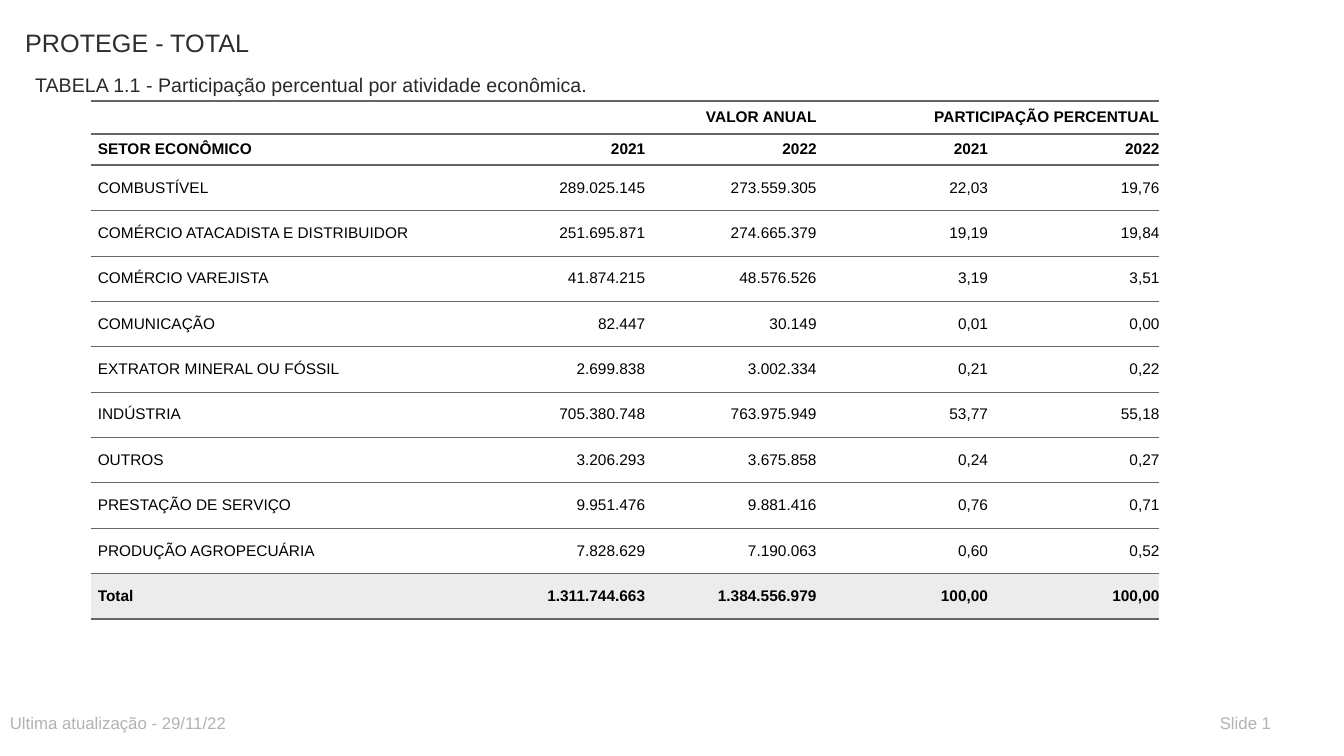
from pptx import Presentation
from pptx.dml.color import RGBColor
from pptx.enum.text import MSO_ANCHOR as ANCHOR, MSO_AUTO_SIZE as AUTO, PP_ALIGN as ALIGN
from pptx.oxml import parse_xml
from pptx.oxml.ns import nsdecls
from pptx.util import Pt

PX = 9144
FONT = "Arial"
RULE = "666666"
COLS = [380, 170, 170, 170, 170]
HEADER_ROWS = 2
ROWS = [
    ["", "VALOR ANUAL", "", "PARTICIPAÇÃO PERCENTUAL", ""],
    ["SETOR ECONÔMICO", "2021", "2022", "2021", "2022"],
    ["COMBUSTÍVEL", "289.025.145", "273.559.305", "22,03", "19,76"],
    ["COMÉRCIO ATACADISTA E DISTRIBUIDOR", "251.695.871", "274.665.379", "19,19", "19,84"],
    ["COMÉRCIO VAREJISTA", "41.874.215", "48.576.526", "3,19", "3,51"],
    ["COMUNICAÇÃO", "82.447", "30.149", "0,01", "0,00"],
    ["EXTRATOR MINERAL OU FÓSSIL", "2.699.838", "3.002.334", "0,21", "0,22"],
    ["INDÚSTRIA", "705.380.748", "763.975.949", "53,77", "55,18"],
    ["OUTROS", "3.206.293", "3.675.858", "0,24", "0,27"],
    ["PRESTAÇÃO DE SERVIÇO", "9.951.476", "9.881.416", "0,76", "0,71"],
    ["PRODUÇÃO AGROPECUÁRIA", "7.828.629", "7.190.063", "0,60", "0,52"],
    ["Total", "1.311.744.663", "1.384.556.979", "100,00", "100,00"],
]
TOTAL = len(ROWS) - 1
THICK_EDGES = {0, 1, HEADER_ROWS, len(ROWS)}


def px(n):
    return n * PX


def rgb(value):
    return RGBColor.from_string(value)


def apply(obj, **values):
    for name, value in values.items():
        setattr(obj, name, value)


def write(p, text, size, color, bold=False, align=ALIGN.LEFT):
    p.alignment = align
    if not text:
        p._p.append(parse_xml(f'<a:endParaRPr {nsdecls("a")} sz="{size * 100}"/>'))
        return
    r = p.add_run()
    r.text = text
    apply(r.font, name=FONT, size=Pt(size), bold=bold)
    r.font.color.rgb = rgb(color)


def fill_box(sp, box, text, size, color):
    left, top, width, height = map(px, box)
    apply(sp, left=left, top=top, width=width, height=height)
    tf = sp.text_frame
    apply(tf, word_wrap=True, auto_size=AUTO.NONE, vertical_anchor=ANCHOR.TOP,
          margin_left=px(10), margin_right=px(10), margin_top=px(7), margin_bottom=0)
    write(tf.paragraphs[0], text, size, color)


def add_label(s, box, text, size, color):
    fill_box(s.shapes.add_textbox(0, 0, 0, 0), box, text, size, color)


def border_xml(side, width):
    ns = nsdecls("a")
    if not width:
        return f'<a:ln{side} {ns} w="0"><a:noFill/></a:ln{side}>'
    return (f'<a:ln{side} {ns} w="{Pt(width)}"><a:solidFill>'
            f'<a:srgbClr val="{RULE}"/></a:solidFill></a:ln{side}>')


def set_borders(cell, row):
    above, below = (2 if edge in THICK_EDGES else 0.5 for edge in (row, row + 1))
    tc_pr = cell._tc.get_or_add_tcPr()
    sides = [("L", 0), ("R", 0), ("T", above), ("B", below)]
    for i, (side, width) in enumerate(sides):
        tc_pr.insert(i, parse_xml(border_xml(side, width)))


def format_cell(cell, row, col, text):
    apply(cell, margin_left=px(7), margin_right=0, margin_top=px(7),
          margin_bottom=px(7), vertical_anchor=ANCHOR.MIDDLE)
    cell.fill.solid()
    cell.fill.fore_color.rgb = rgb("ECECEC" if row == TOTAL else "FFFFFF")
    set_borders(cell, row)
    p = cell.text_frame.paragraphs[0]
    p.space_after = Pt(5)
    write(p, text, 11, "000000", bold=row < HEADER_ROWS or row == TOTAL,
          align=ALIGN.RIGHT if col else ALIGN.LEFT)


def add_sector_table(s, left, top):
    heights = [25 if i < HEADER_ROWS else 45 for i in range(len(ROWS))]
    frame = s.shapes.add_table(len(ROWS), len(COLS), px(left), px(top),
                               px(sum(COLS)), px(sum(heights)))
    table = frame.table
    apply(table, first_row=False, horz_banding=False)
    for column, width in zip(table.columns, COLS):
        column.width = px(width)
    for i, (row, height) in enumerate(zip(ROWS, heights)):
        table.rows[i].height = px(height)
        for j, text in enumerate(row):
            format_cell(table.cell(i, j), i, j, text)
    for j in (1, 3):
        table.cell(0, j).merge(table.cell(0, j + 1))


def main():
    prs = Presentation()
    apply(prs, slide_width=px(1333), slide_height=px(750))
    s = prs.slides.add_slide(prs.slide_layouts[5])
    fill_box(s.shapes.title, (15, 20, 800, 59), "PROTEGE - TOTAL", 18, "2D2E2D")
    add_label(s, (25, 65, 650, 30),
              "TABELA 1.1 - Participação percentual por atividade econômica.", 14, "292929")
    add_sector_table(s, 90, 100)
    add_label(s, (0, 700, 650, 30), "Ultima atualização - 29/11/22", 12, "B2B2B2")
    add_label(s, (1200, 700, 90, 30), "Slide 1", 12, "B2B2B2")
    prs.save("out.pptx")


if __name__ == "__main__":
    main()
